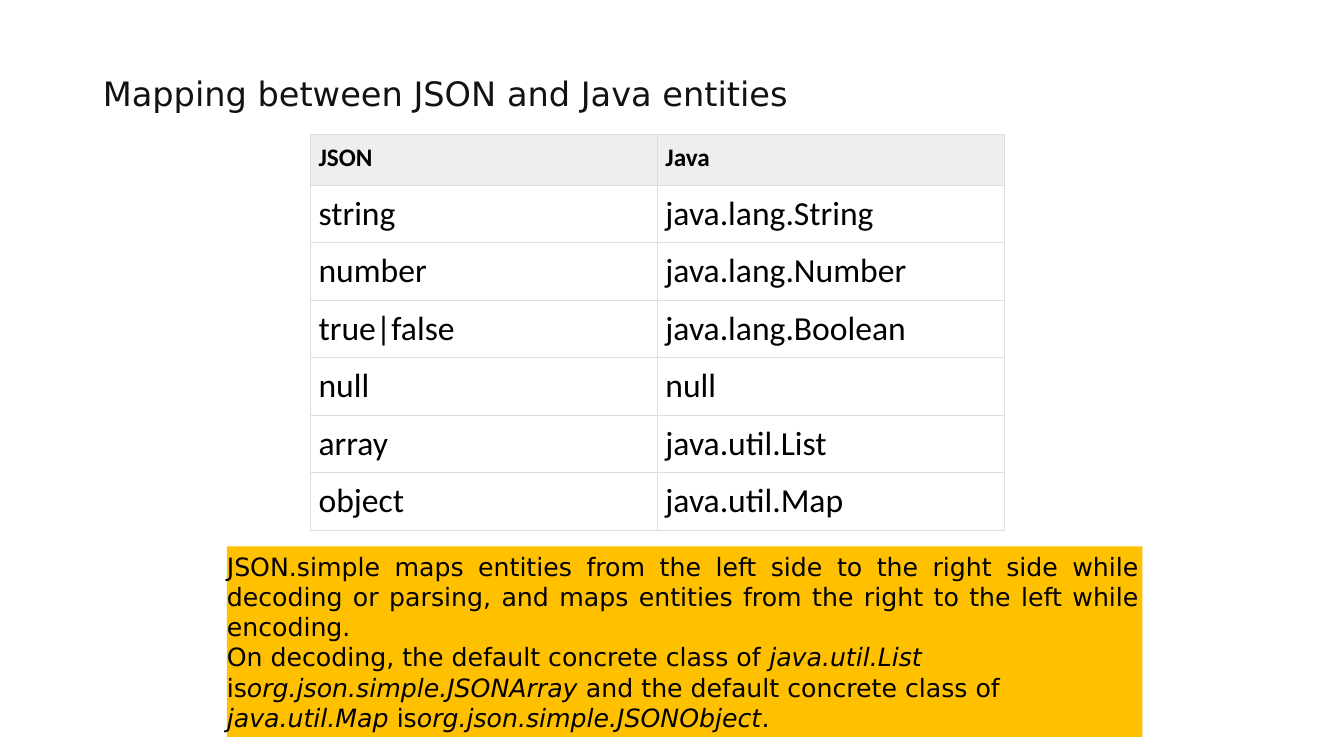
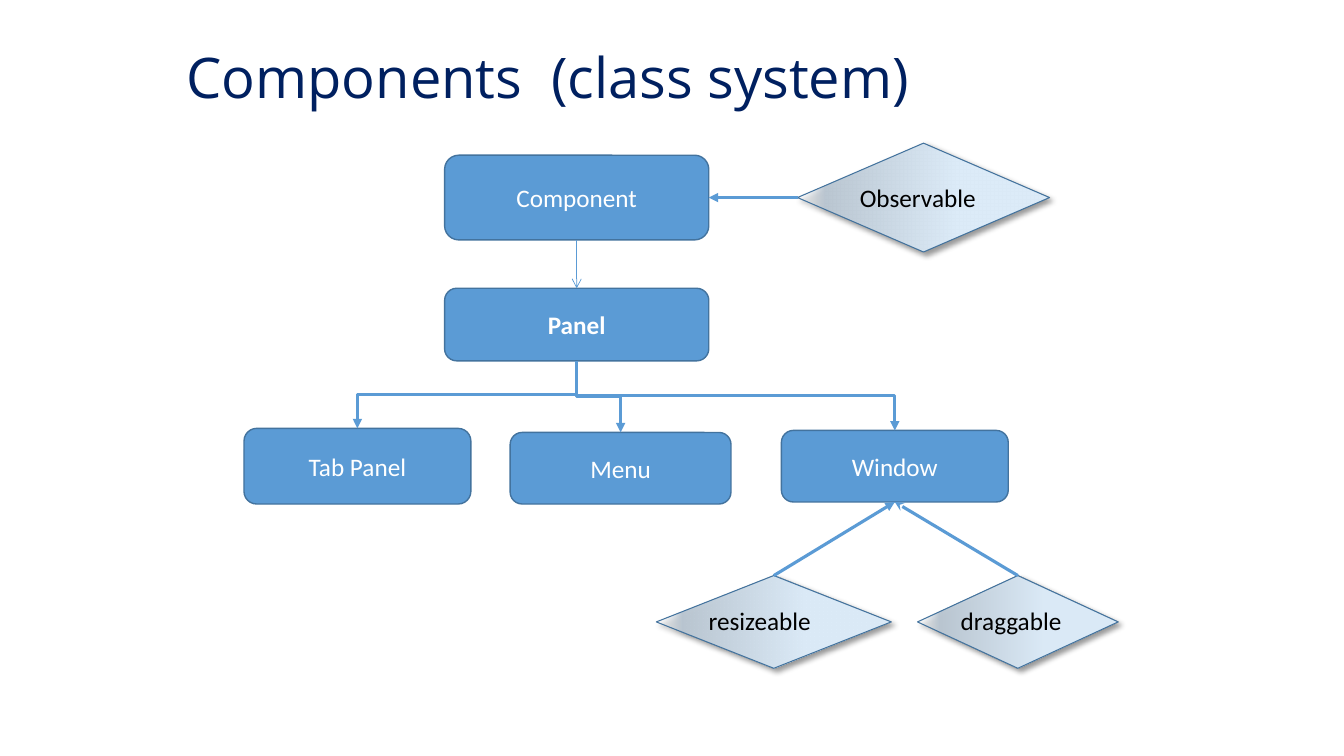
from dataclasses import dataclass

from lxml import etree
from pptx import Presentation
from pptx.dml.color import RGBColor
from pptx.enum.shapes import MSO_CONNECTOR, MSO_SHAPE
from pptx.enum.text import MSO_ANCHOR, MSO_AUTO_SIZE, PP_ALIGN
from pptx.oxml.ns import qn
from pptx.util import Emu, Pt

STRAIGHT, ELBOW = MSO_CONNECTOR.STRAIGHT, MSO_CONNECTOR.ELBOW
RECT, ROUNDED = MSO_SHAPE.RECTANGLE, MSO_SHAPE.ROUNDED_RECTANGLE
DECISION = MSO_SHAPE.FLOWCHART_DECISION
MIDDLE = MSO_ANCHOR.MIDDLE
LEFT, CENTER, JUSTIFY = PP_ALIGN.LEFT, PP_ALIGN.CENTER, PP_ALIGN.JUSTIFY
FIT_SHAPE, NO_FIT = MSO_AUTO_SIZE.SHAPE_TO_FIT_TEXT, MSO_AUTO_SIZE.NONE
TOP_SITE, LEFT_SITE, BOTTOM_SITE, RIGHT_SITE = range(4)
EMU_PER_PX = 9144  # 100 px to the inch


@dataclass(frozen=True)
class Theme:
    body_font: str = "Calibri"
    note_font: str = "DejaVu Sans"
    heading_font: str = "Open Sans"
    body_size: int = 18
    large_size: int = 24
    heading_size: int = 40
    ink: str = "000000"
    paper: str = "FFFFFF"
    title_ink: str = "121214"
    heading_ink: str = "002060"
    node: str = "5B9BD5"
    outline: str = "43739E"
    note: str = "FFC000"
    header: str = "EEEEEE"
    grid: str = "DDDDDD"
    # position %, colour, opacity %
    mixin_stops: tuple = ((0, "FFFFFF", 17), (11, "BAC6D1", 100), (63, "DCEBF8", 100))


def px(length):
    return Emu(length * EMU_PER_PX)


def rgb(colour):
    return RGBColor.from_string(colour)


def add_xml(parent, tag, **attributes):
    return etree.SubElement(parent, qn(tag), {k: str(v) for k, v in attributes.items()})


def add_colour(parent, colour, opacity):
    srgb = add_xml(parent, "a:srgbClr", val=colour)
    if opacity < 100:
        add_xml(srgb, "a:alpha", val=opacity * 1000)


def set_insets(frame, left, top, right, bottom):
    frame.margin_left, frame.margin_top = px(left), px(top)
    frame.margin_right, frame.margin_bottom = px(right), px(bottom)


class Deck:
    def __init__(self, theme):
        self.theme = theme
        self.presentation = Presentation()
        self.presentation.slide_width = px(1333)
        self.presentation.slide_height = px(750)
        self.slide = None

    def run(self, paragraph, text, size=None, font=None, colour=None, bold=False, italic=False):
        run = paragraph.add_run()
        run.text = text
        run.font.name = font or self.theme.body_font
        run.font.size = Pt(size or self.theme.body_size)
        run.font.color.rgb = rgb(colour or self.theme.ink)
        run.font.bold, run.font.italic = bold, italic

    def titled_slide(self, text, box, size, font, colour, bottom_inset=5):
        self.slide = self.presentation.slides.add_slide(self.presentation.slide_layouts[5])
        title = self.slide.shapes.title
        title.left, title.top, title.width, title.height = map(px, box)
        frame = title.text_frame
        frame.auto_size, frame.vertical_anchor, frame.word_wrap = NO_FIT, MIDDLE, True
        set_insets(frame, 10, 5, 10, bottom_inset)
        paragraph = frame.paragraphs[0]
        paragraph.alignment, paragraph.line_spacing = LEFT, 0.9
        self.run(paragraph, text, size, font, colour)

    def shape(self, kind, box, fill=None, line=None, line_width=1):
        shape = self.slide.shapes.add_shape(kind, *map(px, box))
        shape.shadow.inherit = False
        if fill:
            shape.fill.solid()
            shape.fill.fore_color.rgb = rgb(fill)
        if line:
            shape.line.color.rgb = rgb(line)
            shape.line.width = Pt(line_width)
        else:
            shape.line.fill.background()
        return shape

    def node(self, text, box, bold=False):
        node = self.shape(ROUNDED, box, self.theme.node, self.theme.outline)
        node.text_frame.vertical_anchor = MIDDLE
        paragraph = node.text_frame.paragraphs[0]
        paragraph.alignment = CENTER
        self.run(paragraph, text, colour=self.theme.paper, bold=bold)
        return node

    def mixin(self, text, box, label_box):
        """Shaded diamond with its label set slightly left of centre."""
        diamond = self.shape(DECISION, box, line=self.theme.outline, line_width=0.75)
        diamond.fill.gradient()
        diamond.fill.gradient_angle = 0
        properties = diamond._element.spPr
        stops = properties.find(qn("a:gradFill")).find(qn("a:gsLst"))
        for stop in list(stops):
            stops.remove(stop)
        for position, colour, opacity in self.theme.mixin_stops:
            add_colour(add_xml(stops, "a:gs", pos=position * 1000), colour, opacity)
        shadow = add_xml(properties.find(qn("a:effectLst")), "a:outerShdw", blurRad=Pt(4),
                         dist=Pt(3), dir=45 * 60000, algn="tl", rotWithShape=0)
        add_colour(shadow, self.theme.ink, 40)

        label = self.slide.shapes.add_textbox(*map(px, label_box)).text_frame
        label.word_wrap, label.auto_size = False, FIT_SHAPE
        self.run(label.paragraphs[0], text)
        return diamond

    def note(self, box, paragraphs):
        """Filled box; each paragraph is (alignment, [(text, italic), ...])."""
        frame = self.shape(RECT, box, self.theme.note).text_frame
        frame.word_wrap, frame.auto_size, frame.vertical_anchor = True, FIT_SHAPE, MIDDLE
        set_insets(frame, 0, 3, 3, 3)
        for index, (alignment, pieces) in enumerate(paragraphs):
            paragraph = frame.add_paragraph() if index else frame.paragraphs[0]
            paragraph.alignment = alignment
            for text, italic in pieces:
                self.run(paragraph, text, font=self.theme.note_font, italic=italic)

    def table(self, left, top, column_width, header_height, row_height, rows):
        columns = len(rows[0])
        height = header_height + row_height * (len(rows) - 1)
        table = self.slide.shapes.add_table(
            len(rows), columns, *map(px, (left, top, column_width * columns, height))).table
        table.horz_banding = False
        for column in table.columns:
            column.width = px(column_width)
        for r, texts in enumerate(rows):
            is_header = r == 0
            table.rows[r].height = px(header_height if is_header else row_height)
            for c, text in enumerate(texts):
                cell = table.cell(r, c)
                set_insets(cell, 8, 8, 8, 8)
                size = self.theme.body_size if is_header else self.theme.large_size
                self.run(cell.text_frame.paragraphs[0], text, size, bold=is_header)
                self.cell_borders(cell)
                if is_header:
                    cell.fill.solid()
                    cell.fill.fore_color.rgb = rgb(self.theme.header)
                else:
                    cell.fill.background()

    def cell_borders(self, cell):
        properties = cell._tc.get_or_add_tcPr()
        for side in ("a:lnL", "a:lnR", "a:lnT", "a:lnB"):
            border = add_xml(properties, side, w=Pt(0.75))
            add_colour(add_xml(border, "a:solidFill"), self.theme.grid, 100)

    def arrow(self, source, source_site, target, target_site,
              kind=STRAIGHT, width=2.25, head="triangle"):
        arrow = self.slide.shapes.add_connector(kind, 0, 0, 0, 0)
        arrow.begin_connect(source, source_site)
        arrow.end_connect(target, target_site)
        if kind == ELBOW:
            self.turn_downward(arrow)
        arrow.line.color.rgb = rgb(self.theme.node)
        arrow.line.width = Pt(width)
        add_xml(arrow.line._get_or_add_ln(), "a:tailEnd", type=head)
        add_xml(arrow._element.spPr, "a:effectLst")

    def turn_downward(self, arrow):
        """Rotate an elbow so that it leaves and arrives vertically."""
        goes_right = arrow.end_x > arrow.begin_x
        run, drop = arrow.width, arrow.height
        arrow.left, arrow.top = arrow.left + (run - drop) // 2, arrow.top + (drop - run) // 2
        arrow.width, arrow.height = drop, run
        frame = arrow._element.spPr.find(qn("a:xfrm"))
        frame.set("rot", str((270 if goes_right else 90) * 60000))
        frame.set("flipH", "1" if goes_right else "0")


def mapping_slide(deck):
    theme = deck.theme
    deck.titled_slide("Mapping between JSON and Java entities", (92, 40, 1150, 145),
                      theme.large_size, theme.note_font, theme.title_ink, bottom_inset=40)
    deck.table(308, 133, 344, 51, 57, [
        ("JSON", "Java"),
        ("string", "java.lang.String"),
        ("number", "java.lang.Number"),
        ("true|false", "java.lang.Boolean"),
        ("null", "null"),
        ("array", "java.util.List"),
        ("object", "java.util.Map"),
    ])
    deck.note((225, 542, 908, 189), [
        (JUSTIFY, [("JSON.simple maps entities from the left side to the right side while "
                    "decoding or parsing, and maps entities from the right to the left "
                    "while encoding.", False)]),
        (LEFT, [("On decoding, the default concrete class of ", False),
                ("java.util.List ", True),
                ("is", False),
                ("org.json.simple.JSONArray", True),
                (" and the default concrete class of ", False),
                ("java.util.Map ", True),
                ("is", False),
                ("org.json.simple.JSONObject", True),
                (".", False)]),
    ])


def components_slide(deck):
    theme = deck.theme
    deck.titled_slide("Components  (class system)", (175, 17, 900, 125),
                      theme.heading_size, theme.heading_font, theme.heading_ink)
    component = deck.node("Component", (441, 154, 262, 84))
    panel = deck.node("Panel", (441, 286, 262, 72), bold=True)
    tab_panel = deck.node("Tab Panel", (242, 425, 225, 75))
    menu = deck.node("Menu", (506, 429, 219, 71))
    window = deck.node("Window", (775, 427, 225, 71))
    observable = deck.mixin("Observable", (791, 142, 250, 108), (843, 176, 136, 40))
    resizeable = deck.mixin("resizeable", (651, 571, 233, 92), (693, 596, 123, 40))
    draggable = deck.mixin("draggable", (910, 571, 199, 92), (943, 596, 121, 40))

    deck.arrow(observable, LEFT_SITE, component, RIGHT_SITE)
    deck.arrow(component, BOTTOM_SITE, panel, TOP_SITE, width=0.5, head="arrow")
    for child in (window, tab_panel, menu):
        deck.arrow(panel, BOTTOM_SITE, child, TOP_SITE, ELBOW)
    deck.arrow(draggable, TOP_SITE, window, BOTTOM_SITE, head="stealth")
    deck.arrow(resizeable, TOP_SITE, window, BOTTOM_SITE)


def main():
    deck = Deck(Theme())
    mapping_slide(deck)
    components_slide(deck)
    deck.presentation.save("out.pptx")


if __name__ == "__main__":
    main()
